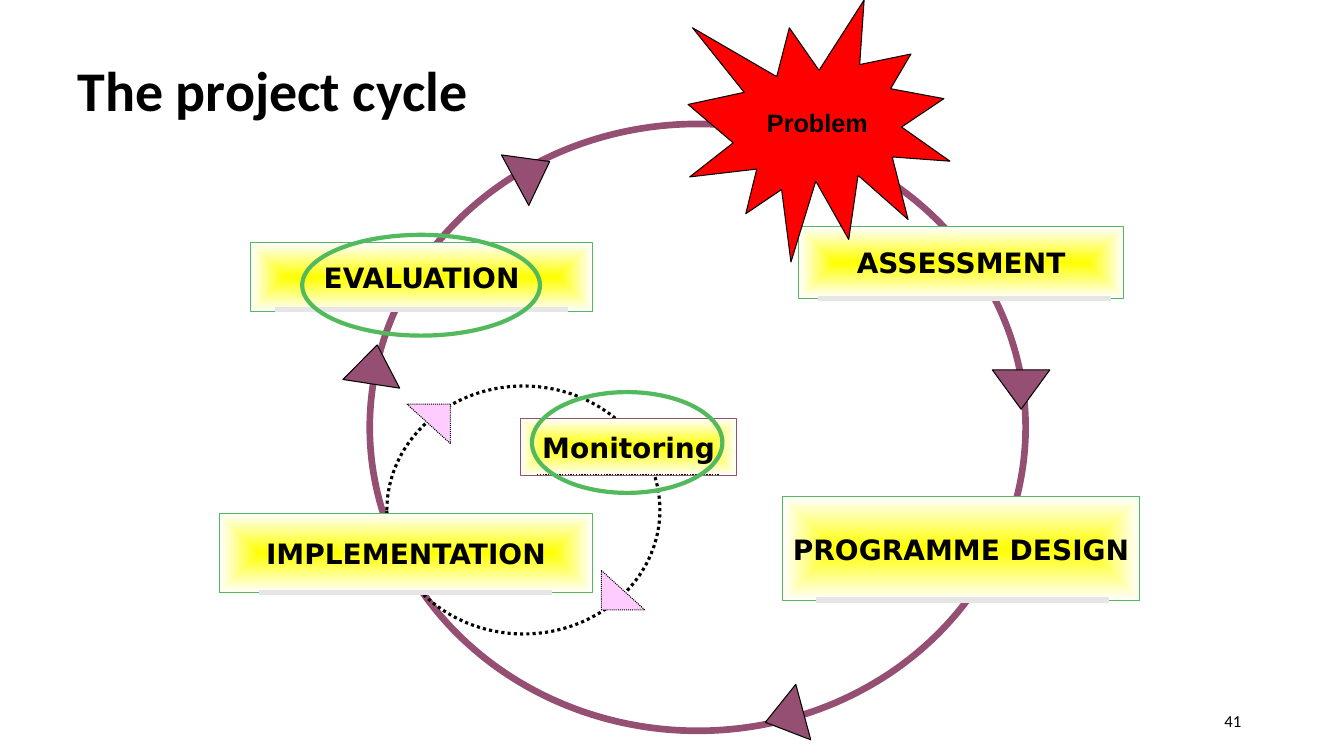
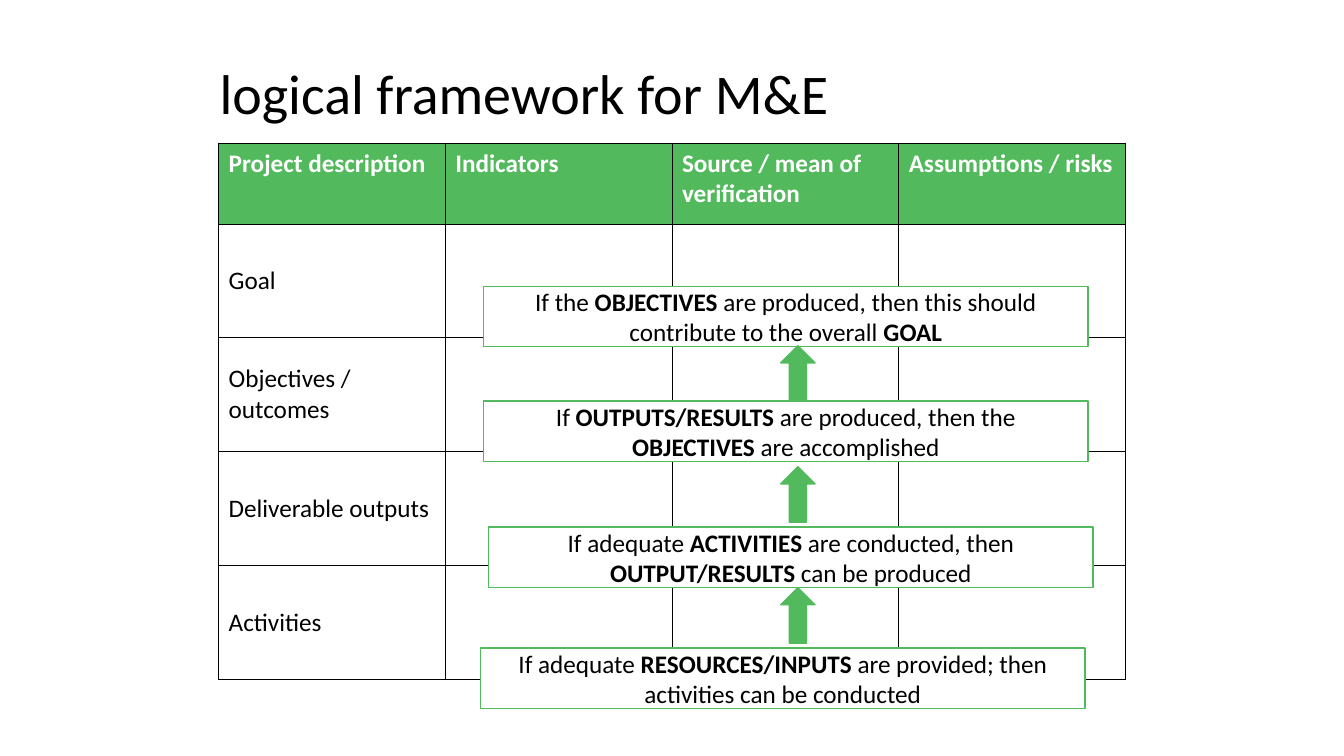
from dataclasses import dataclass
from typing import Optional

from pptx import Presentation
from pptx.dml.color import RGBColor
from pptx.enum.dml import MSO_LINE
from pptx.enum.shapes import MSO_CONNECTOR, MSO_SHAPE
from pptx.enum.text import MSO_ANCHOR, MSO_AUTO_SIZE, PP_ALIGN
from pptx.oxml.ns import qn
from pptx.oxml.xmlchemy import OxmlElement
from pptx.util import Inches, Pt

GREEN, PLUM, YELLOW, PINK = "52BA5C", "954F72", "FFFF00", "FFCCFF"
BLACK, WHITE, GREY, RED = "000000", "FFFFFF", "E7E6E6", "FF0000"
BODY_FONT = "Calibri"
STAGE_FONT = "DejaVu Sans"


@dataclass(frozen=True)
class Box:
    left: float
    top: float
    width: float
    height: float

    def emu(self):
        return [Inches(n) for n in (self.left, self.top, self.width, self.height)]


@dataclass(frozen=True)
class Outline:
    color: str
    width: float = 0.75
    dotted: bool = False


@dataclass(frozen=True)
class Stage:
    label: str
    box: Box
    underline: tuple[float, float]
    underline_width: float = 2.91
    outline: Outline = Outline(GREEN)
    underline_style: Outline = Outline(GREY, 4)


@dataclass(frozen=True)
class Mark:
    kind: MSO_SHAPE
    box: Box
    outline: Outline
    fill: Optional[str] = None
    rotation: float = 0


@dataclass(frozen=True)
class Condition:
    left: float
    top: float
    text: str


DOTS = Outline(BLACK, 0.75, True)
HIGHLIGHT = Outline(GREEN, 3)

RINGS = [
    Mark(MSO_SHAPE.OVAL, Box(3.67, 1.23, 6.51, 6.02), Outline(PLUM, 4.75)),
    Mark(MSO_SHAPE.OVAL, Box(3.84, 3.83, 2.71, 2.46), Outline(BLACK, 2.25, True)),
]
STAGES = [
    Stage("ASSESSMENT", Box(7.93, 2.25, 3.22, 0.71), (8.12, 2.96)),
    Stage("PROGRAMME DESIGN", Box(7.77, 4.93, 3.54, 1.03), (8.1, 5.95)),
    Stage("EVALUATION", Box(2.49, 2.41, 3.39, 0.68), (2.73, 3.07)),
    Stage("Monitoring", Box(5.17, 4.15, 2.14, 0.57), (5.33, 4.71), 1.81,
          Outline(PLUM), Outline(BLACK, 1, True)),
    Stage("IMPLEMENTATION", Box(2.18, 5.09, 3.7, 0.79), (2.57, 5.88)),
]
HIGHLIGHTS = [
    Mark(MSO_SHAPE.OVAL, Box(5.28, 3.89, 1.89, 1), HIGHLIGHT),
    Mark(MSO_SHAPE.OVAL, Box(3, 2.33, 2.36, 1), HIGHLIGHT),
]
INNER_POINTERS = [
    Mark(MSO_SHAPE.RIGHT_TRIANGLE, Box(left, top, 0.43, 0.39), DOTS, PINK, turn)
    for left, top, turn in [(5.97, 5.66, 0), (4.04, 4.01, 180)]
]
OUTER_POINTERS = [
    Mark(MSO_SHAPE.ISOSCELES_TRIANGLE, Box(left, top, 0.57, 0.39),
         Outline(BLACK), PLUM, turn)
    for left, top, turn in [(3.43, 3.42, 8.7), (5, 1.5, 61.6),
                            (7.5, 6.92, 254.9), (9.85, 3.67, 180)]
]
PROBLEM = Mark(MSO_SHAPE.EXPLOSION1, Box(6.83, 0, 2.6, 2.6), Outline(BLACK), RED)

HEADINGS = ["Project description", "Indicators",
            "Source / mean of verification", "Assumptions / risks"]
LEVELS = ["Goal", "Objectives / outcomes", "Deliverable outputs", "Activities"]
CONDITIONS = [
    Condition(4.8, 2.84, "If the *OBJECTIVES* are produced, then this should "
                         "contribute to the overall *GOAL*"),
    Condition(4.8, 3.98, "If *OUTPUTS/RESULTS* are produced, then the "
                         "*OBJECTIVES* are accomplished"),
    Condition(4.85, 5.23, "If adequate *ACTIVITIES* are conducted, then "
                          "*OUTPUT/RESULTS* can be produced"),
    Condition(4.77, 6.43, "If adequate *RESOURCES/INPUTS* are provided; then "
                          "activities can be conducted"),
]


def rgb(value: str) -> RGBColor:
    return RGBColor.from_string(value)


def style_font(font, size: float, name: str = BODY_FONT,
               color: str = BLACK, bold: bool = False) -> None:
    font.size, font.name, font.bold = Pt(size), name, bold
    font.color.rgb = rgb(color)


def style_line(line, outline: Outline) -> None:
    line.color.rgb = rgb(outline.color)
    line.width = Pt(outline.width)
    if outline.dotted:
        line.dash_style = MSO_LINE.ROUND_DOT


def add_titled_slide(deck, text: str, box: Box, bold: bool = False):
    slide = deck.slides.add_slide(deck.slide_layouts[5])
    title = slide.shapes.title
    title.left, title.top, title.width, title.height = box.emu()
    frame = title.text_frame
    frame.text = text
    frame.auto_size = MSO_AUTO_SIZE.NONE
    frame.vertical_anchor = MSO_ANCHOR.MIDDLE
    heading = frame.paragraphs[0]
    heading.alignment = PP_ALIGN.LEFT
    heading.line_spacing = 0.9
    style_font(heading.runs[0].font, 40, bold=bold)
    return slide


def add_mark(slide, mark: Mark):
    shape = slide.shapes.add_shape(mark.kind, *mark.box.emu())
    shape.shadow.inherit = False
    shape.rotation = mark.rotation
    style_line(shape.line, mark.outline)
    if mark.fill:
        shape.fill.solid()
        shape.fill.fore_color.rgb = rgb(mark.fill)
    else:
        shape.fill.background()
    return shape


def set_label(shape, text: str, size: float, name: str) -> None:
    frame = shape.text_frame
    frame.text = text
    frame.word_wrap = False
    frame.vertical_anchor = MSO_ANCHOR.MIDDLE
    frame.paragraphs[0].alignment = PP_ALIGN.CENTER
    style_font(frame.paragraphs[0].runs[0].font, size, name, bold=True)


def fill_from_centre(shape, inner: str, outer: str) -> None:
    shape.fill.gradient()
    for stop, color in zip(shape.fill.gradient_stops, (inner, outer)):
        stop.color.rgb = rgb(color)
    gradient = shape.element.spPr.find(qn("a:gradFill"))
    spread = OxmlElement("a:path")
    spread.set("path", "rect")
    centre = OxmlElement("a:fillToRect")
    for side in "ltrb":
        centre.set(side, "50000")
    spread.append(centre)
    gradient.replace(gradient.find(qn("a:lin")), spread)


def add_stage(slide, stage: Stage) -> None:
    panel = add_mark(slide, Mark(MSO_SHAPE.RECTANGLE, stage.box, stage.outline))
    fill_from_centre(panel, YELLOW, WHITE)
    set_label(panel, stage.label, 20, STAGE_FONT)
    left, top = stage.underline
    underline = slide.shapes.add_connector(
        MSO_CONNECTOR.STRAIGHT, Inches(left), Inches(top),
        Inches(left + stage.underline_width), Inches(top))
    style_line(underline.line, stage.underline_style)
    underline.element.spPr.append(OxmlElement("a:effectLst"))


def add_page_number(slide, number: str) -> None:
    footer = slide.shapes.add_textbox(*Box(9.42, 6.95, 3, 0.4).emu())
    frame = footer.text_frame
    frame.text = number
    frame.word_wrap = True
    frame.vertical_anchor = MSO_ANCHOR.MIDDLE
    frame.paragraphs[0].alignment = PP_ALIGN.RIGHT
    style_font(frame.paragraphs[0].runs[0].font, 12)


def set_borders(cell, color: str, width: float) -> None:
    properties = cell._tc.get_or_add_tcPr()
    for position, side in enumerate(("a:lnL", "a:lnR", "a:lnT", "a:lnB")):
        border = OxmlElement(side)
        border.set("w", str(int(Pt(width))))
        paint = OxmlElement("a:solidFill")
        tone = OxmlElement("a:srgbClr")
        tone.set("val", color)
        paint.append(tone)
        border.append(paint)
        properties.insert(position, border)


def add_framework(slide) -> None:
    rows = [HEADINGS] + [[level, "", "", ""] for level in LEVELS]
    table = slide.shapes.add_table(
        len(rows), len(HEADINGS), *Box(2.17, 1.42, 9, 5.32).emu()).table
    table.first_row = table.horz_banding = False
    for column in table.columns:
        column.width = Inches(2.25)
    for r, texts in enumerate(rows):
        is_header = r == 0
        table.rows[r].height = Inches(0.8 if is_header else 1.13)
        for c, text in enumerate(texts):
            cell = table.cell(r, c)
            cell.text = text
            cell.vertical_anchor = MSO_ANCHOR.TOP if is_header else MSO_ANCHOR.MIDDLE
            cell.fill.solid()
            cell.fill.fore_color.rgb = rgb(GREEN if is_header else WHITE)
            set_borders(cell, BLACK, 0.45)
            for run in cell.text_frame.paragraphs[0].runs:
                style_font(run.font, 18, color=WHITE if is_header else BLACK,
                           bold=is_header)


def add_condition(slide, condition: Condition) -> None:
    box = Box(condition.left, condition.top, 6, 0.6)
    panel = add_mark(slide, Mark(MSO_SHAPE.RECTANGLE, box, Outline(GREEN, 1), WHITE))
    frame = panel.text_frame
    frame.word_wrap = True
    frame.vertical_anchor = MSO_ANCHOR.MIDDLE
    sentence = frame.paragraphs[0]
    sentence.alignment = PP_ALIGN.CENTER
    for i, part in enumerate(condition.text.split("*")):
        if part:
            run = sentence.add_run()
            run.text = part
            style_font(run.font, 18, bold=i % 2 == 1)


def build_cycle(deck) -> None:
    slide = add_titled_slide(deck, "The project cycle", Box(0.67, 0.3, 12, 1.25), True)
    add_page_number(slide, "41")
    for mark in RINGS + INNER_POINTERS:
        add_mark(slide, mark)
    for stage in STAGES:
        add_stage(slide, stage)
    set_label(add_mark(slide, PROBLEM), "Problem", 18, "Arial")
    for mark in HIGHLIGHTS + OUTER_POINTERS:
        add_mark(slide, mark)


def build_framework(deck) -> None:
    slide = add_titled_slide(deck, "logical framework for M&E", Box(2.08, 0.33, 9, 1.25))
    add_framework(slide)
    for condition in CONDITIONS:
        add_condition(slide, condition)
    for step in range(len(CONDITIONS) - 1):
        box = Box(7.75, 3.43 + 1.2 * step, 0.34, 0.55)
        add_mark(slide, Mark(MSO_SHAPE.UP_ARROW, box, Outline(GREEN, 1), GREEN))


def main() -> None:
    deck = Presentation()
    deck.slide_width, deck.slide_height = Inches(13.34), Inches(7.5)
    build_cycle(deck)
    build_framework(deck)
    deck.save("out.pptx")


if __name__ == "__main__":
    main()
